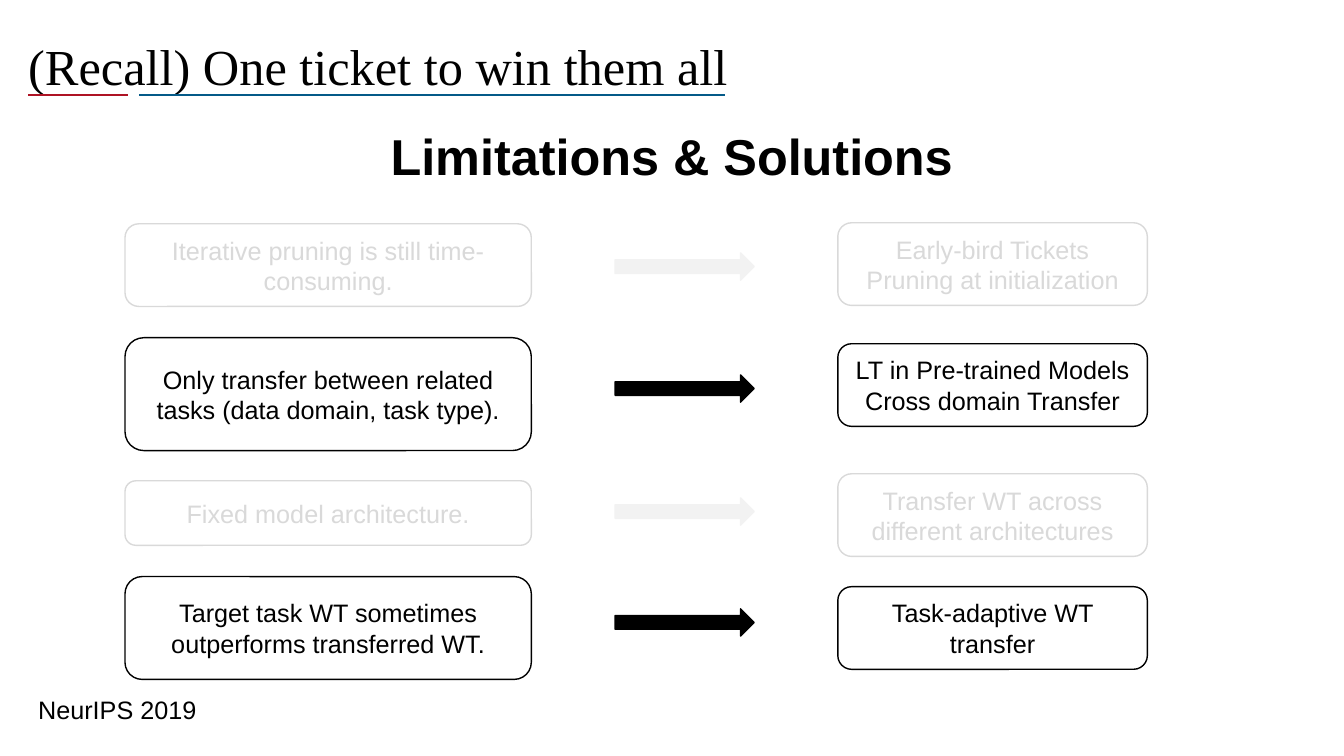
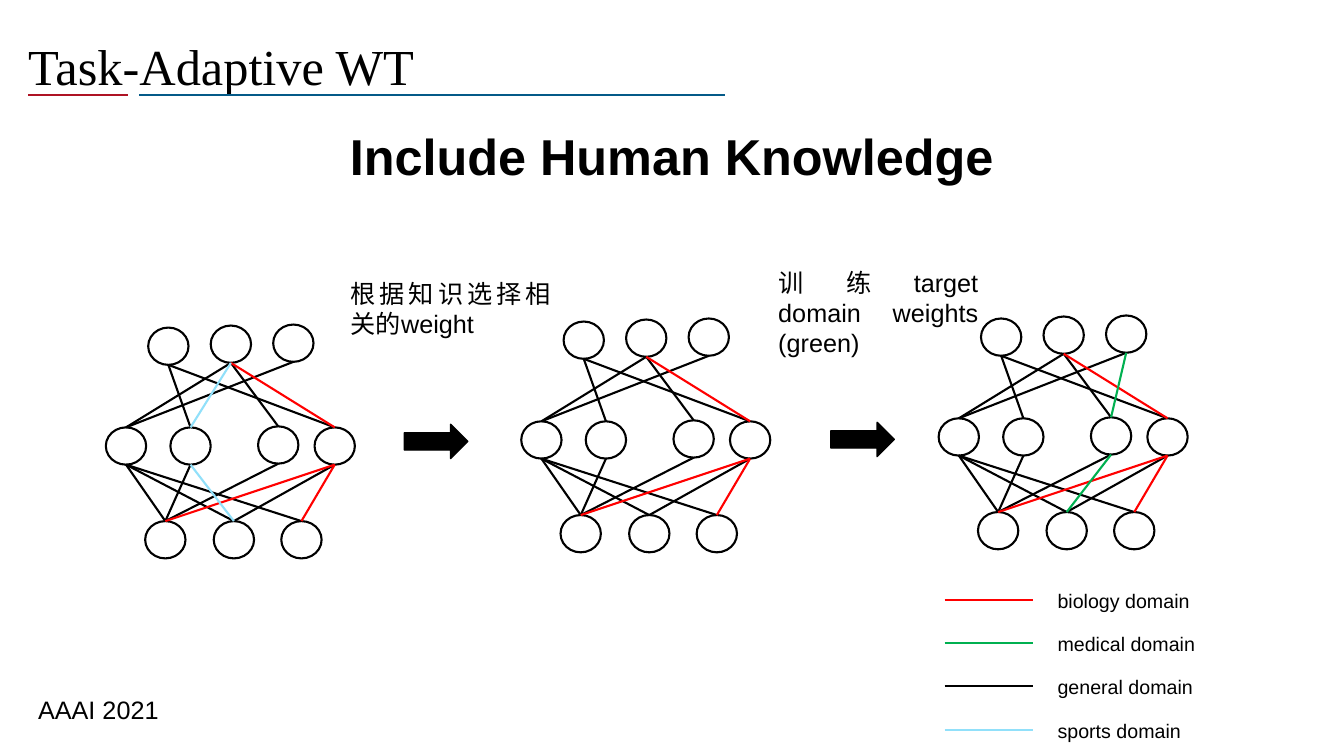
from lxml import etree
from pptx import Presentation
from pptx import util as u
from pptx.dml.color import RGBColor
from pptx.enum import shapes, text
from pptx.oxml.ns import qn

BLACK, WHITE = "000000", "FFFFFF"
FADED_TEXT, FADED_ARROW = "D9D9D9", "F2F2F2"
CRIMSON, NAVY = "AE1324", "045A88"
DOMAINS = {"biology": "FF0000", "medical": "00B050", "general": BLACK, "sports": "91E0FA"}


def rgb(value):
    return RGBColor.from_string(value)


def write(frame, content, size=18, font="Arial", color=BLACK, bold=False,
          align=text.PP_ALIGN.LEFT, anchor=text.MSO_ANCHOR.TOP, spacing=None, wrap=True):
    """Fill a text frame, one paragraph for each line of content."""
    frame.word_wrap = wrap
    frame.auto_size = text.MSO_AUTO_SIZE.NONE
    frame.vertical_anchor = anchor
    for index, line in enumerate(content.split("\n")):
        paragraph = frame.add_paragraph() if index else frame.paragraphs[0]
        paragraph.alignment = align
        paragraph.line_spacing = spacing
        run = paragraph.add_run()
        run.text = line
        run.font.size = u.Pt(size)
        run.font.name = font
        run.font.bold = bold
        run.font.color.rgb = rgb(color)


class Deck:
    def __init__(self):
        self.presentation = Presentation()
        self.presentation.slide_width = u.Inches(13.33)
        self.presentation.slide_height = u.Inches(7.5)
        self.slide = None

    def new_slide(self, title, heading, venue):
        self.slide = self.presentation.slides.add_slide(self.presentation.slide_layouts[5])
        holder = self.slide.shapes.title
        holder.left, holder.top = u.Inches(0.18), u.Inches(-0.04)
        holder.width, holder.height = u.Inches(11.5), u.Inches(1.45)
        write(holder.text_frame, title, size=36, font="Times New Roman",
              anchor=text.MSO_ANCHOR.MIDDLE, spacing=0.9)
        self.line((0.28, 0.94), (1.27, 0.94), CRIMSON)
        self.line((1.38, 0.94), (7.19, 0.94), NAVY)
        self.label(0.28, 6.84, 1.8, 0.4, venue, wrap=False)
        self.label(1.11, 1.19, 11.11, 0.71, heading, size=36, bold=True,
                   align=text.PP_ALIGN.CENTER)

    def label(self, left, top, width, height, content, **style):
        box = self.slide.shapes.add_textbox(*map(u.Inches, (left, top, width, height)))
        write(box.text_frame, content, **style)

    def shape(self, kind, left, top, width, height, fill=None, line=BLACK, weight=1):
        shape = self.slide.shapes.add_shape(kind, *map(u.Inches, (left, top, width, height)))
        shape.shadow.inherit = False
        if fill:
            shape.fill.solid()
            shape.fill.fore_color.rgb = rgb(fill)
        else:
            shape.fill.background()
        shape.line.color.rgb = rgb(line)
        shape.line.width = u.Pt(weight)
        return shape

    def card(self, left, top, width, height, content, color):
        card = self.shape(shapes.MSO_SHAPE.ROUNDED_RECTANGLE, left, top, width, height,
                          WHITE, color)
        write(card.text_frame, content, color=color, align=text.PP_ALIGN.CENTER,
              anchor=text.MSO_ANCHOR.MIDDLE)

    def arrow(self, left, top, width, height, color=BLACK):
        self.shape(shapes.MSO_SHAPE.RIGHT_ARROW, left, top, width, height, color, color)

    def line(self, start, end, color):
        line = self.slide.shapes.add_connector(
            shapes.MSO_CONNECTOR.STRAIGHT, *map(u.Inches, (*start, *end)))
        line.line.color.rgb = rgb(color)
        line.line.width = u.Pt(1.5)
        etree.SubElement(line._element.spPr, qn("a:effectLst"))

    def network(self, dx, dy, domains):
        """Draw the three-layer network, moved by dx and dy, with the edges of some domains."""
        for layer in LAYERS:
            for x, y in layer:
                self.shape(shapes.MSO_SHAPE.FLOWCHART_CONNECTOR, x + dx - NODE_WIDTH / 2,
                           y + dy, NODE_WIDTH, NODE_HEIGHT, weight=1.5)
        for domain in domains:
            for upper, edges in enumerate(EDGES[domain]):
                for source, target in edges:
                    x1, y1 = LAYERS[upper][source]
                    x2, y2 = LAYERS[upper + 1][target]
                    self.line((x1 + dx, y1 + NODE_HEIGHT + dy), (x2 + dx, y2 + dy),
                              DOMAINS[domain])


# Limitation (text, top, height), solution (text, top), arrow top, emphasised
PAIRS = [
    (("Iterative pruning is still time-consuming.", 2.22, 0.82),
     ("Early-bird Tickets\nPruning at initialization", 2.21), 2.51, False),
    (("Only transfer between related tasks (data domain, task type).", 3.35, 1.12),
     ("LT in Pre-trained Models\nCross domain Transfer", 3.41), 3.72, True),
    (("Fixed model architecture.", 4.77, 0.64),
     ("Transfer WT across different architectures", 4.7), 4.94, False),
    (("Target task WT sometimes outperforms transferred WT.", 5.72, 1.02),
     ("Task-adaptive WT transfer", 5.82), 6.04, True),
]

NODE_WIDTH, NODE_HEIGHT = 0.4, 0.37
# Centre x and top y of the nodes, layer by layer from the top
LAYERS = [
    [(1.67, 3.25), (2.29, 3.23), (2.91, 3.22)],
    [(1.25, 4.24), (1.89, 4.24), (2.76, 4.23), (3.32, 4.24)],
    [(1.64, 5.17), (2.32, 5.17), (2.99, 5.17)],
]
# Node index pairs: top to middle layer, then middle to bottom layer
EDGES = {
    "general": ([(1, 0), (2, 0), (0, 1), (1, 2), (0, 3)],
                [(0, 0), (1, 0), (2, 0), (0, 1), (3, 1), (0, 2)]),
    "biology": ([(1, 3)], [(3, 0), (3, 2)]),
    "sports": ([(1, 1)], [(1, 1)]),
    "medical": ([(2, 2)], [(2, 1)]),
}


def limitations(deck):
    deck.new_slide("(Recall) One ticket to win them all", "Limitations & Solutions",
                   "NeurIPS 2019")
    for (limit, limit_top, height), (solution, solution_top), arrow_top, active in PAIRS:
        color = BLACK if active else FADED_TEXT
        deck.card(1.24, limit_top, 4.03, height, limit, color)
        deck.card(8.31, solution_top, 3.07, 0.82, solution, color)
        deck.arrow(6.1, arrow_top, 1.38, 0.27, BLACK if active else FADED_ARROW)


def human_knowledge(deck):
    deck.new_slide("Task-Adaptive WT", "Include Human Knowledge", "AAAI 2021")
    shared = ["general", "biology"]
    deck.network(0, 0, shared + ["sports"])
    deck.network(4.12, -0.06, shared)
    deck.network(8.26, -0.09, shared + ["medical"])
    deck.arrow(4.01, 4.21, 0.63, 0.34)
    deck.arrow(8.24, 4.19, 0.63, 0.34)
    deck.label(3.38, 2.71, 2.18, 0.71, "根据知识选择相关的weight",
               align=text.PP_ALIGN.JUSTIFY)
    deck.label(7.62, 2.6, 2.18, 1.01, "训练target domain weights (green)",
               align=text.PP_ALIGN.JUSTIFY)
    for row, (domain, color) in enumerate(DOMAINS.items()):
        y = 5.95 + 0.43 * row
        deck.line((9.37, y), (10.25, y), color)
        deck.label(10.39, y - 0.16, 1.72, 0.34, f"{domain} domain", size=14)


def main():
    deck = Deck()
    limitations(deck)
    human_knowledge(deck)
    deck.presentation.save("out.pptx")


if __name__ == "__main__":
    main()
